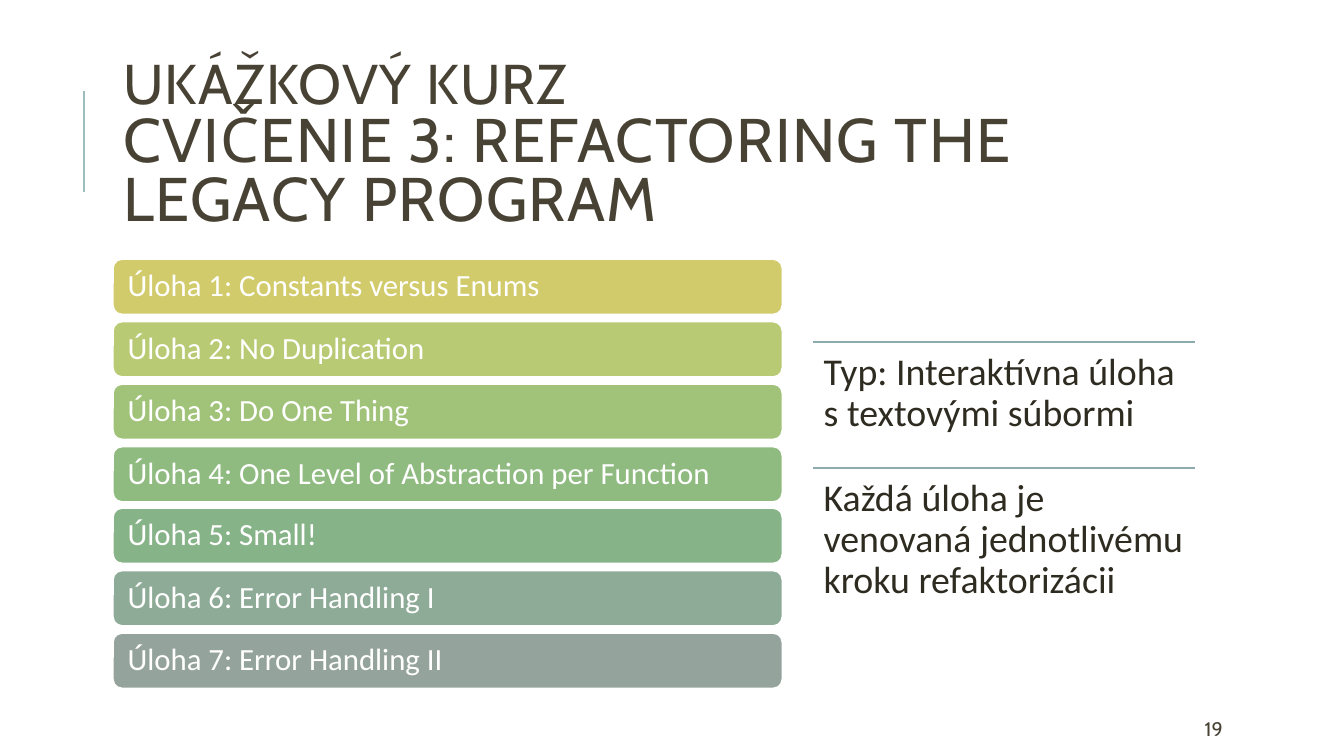
from pptx import Presentation
from pptx import util as u
from pptx.dml.color import RGBColor
from pptx.enum import shapes, text
from pptx.oxml import ns
from lxml import etree

PX = 9144
INK = "474233"
TASKS = [
    ("Úloha 1: Constants versus Enums", "D2CB6C"),
    ("Úloha 2: No Duplication", "B8CA73"),
    ("Úloha 3: Do One Thing", "A0C379"),
    ("Úloha 4: One Level of Abstraction per Function", "8FBB80"),
    ("Úloha 5: Small!", "87B388"),
    ("Úloha 6: Error Handling I", "8EAB97"),
    ("Úloha 7: Error Handling II", "95A39D"),
]
NOTES = [
    ("Typ: Interaktívna úloha s textovými súbormi", 339, 125),
    ("Každá úloha je venovaná jednotlivému kroku refaktorizácii", 464, 137),
]


def px(*lengths):
    return [u.Emu(n * PX) for n in lengths]


def color(value):
    return RGBColor.from_string(value)


def style_run(r, name, size, value):
    r.font.name = name
    r.font.size = u.Pt(size)
    r.font.color.rgb = color(value)


def set_text(sp, content, name, size, value, inset, anchor, spacing=None):
    tf = sp.text_frame
    tf.word_wrap = True
    tf.vertical_anchor = anchor
    tf.margin_left, tf.margin_top, tf.margin_right, tf.margin_bottom = px(*inset)
    tf.text = content
    p = tf.paragraphs[0]
    p.alignment = text.PP_ALIGN.LEFT
    p.line_spacing = spacing
    for r in p.runs:
        style_run(r, name, size, value)


def add_rule(s, x1, y1, x2, y2, value, width):
    line = s.shapes.add_connector(shapes.MSO_CONNECTOR.STRAIGHT, *px(x1, y1, x2, y2))
    line.line.color.rgb = color(value)
    line.line.width = u.Pt(width)
    etree.SubElement(line._element.spPr, ns.qn("a:effectLst"))


def add_title(s):
    sp = s.shapes.title
    sp.left, sp.top, sp.width, sp.height = px(112, 64, 1063, 164)
    set_text(sp, "UKÁŽKOVÝ KURZ\vCVIČENIE 3: REFACTORING THE LEGACY PROGRAM",
             "Cabin", 44, INK, (10, 5, 10, 5), text.MSO_ANCHOR.MIDDLE, 0.8)
    sp.text_frame.auto_size = text.MSO_AUTO_SIZE.NONE
    runs = sp.text_frame.paragraphs[0].runs
    runs[0].font.size = u.Pt(40)
    for r in runs:
        r.font._element.set("spc", "100")


def add_task(s, content, fill, top):
    sp = s.shapes.add_shape(shapes.MSO_SHAPE.ROUNDED_RECTANGLE, *px(112, top, 664, 55))
    sp.shadow.inherit = False
    sp.fill.solid()
    sp.fill.fore_color.rgb = color(fill)
    sp.line.color.rgb = color("FFFFFF")
    sp.line.width = u.Pt(1.25)
    set_text(sp, content, "Calibri", 22, "FFFFFF", (12, 9, 12, 9),
             text.MSO_ANCHOR.MIDDLE, 0.9)


def add_note(s, content, top, height):
    add_rule(s, 806, top, 1185, top, "8EACAC", 1.25)
    sp = s.shapes.add_textbox(*px(806, top, 379, height))
    set_text(sp, content, "Calibri", 27, "2E2B21", (11, 11, 11, 11),
             text.MSO_ANCHOR.TOP, 0.9)


def add_page_number(s, number):
    sp = s.shapes.add_textbox(*px(1185, 708, 106, 30))
    set_text(sp, number, "Cabin", 14, INK, (10, 5, 10, 5), text.MSO_ANCHOR.MIDDLE)


def main():
    prs = Presentation()
    prs.slide_width, prs.slide_height = px(1333, 750)
    s = prs.slides.add_slide(prs.slide_layouts[5])
    add_rule(s, 83, 190, 83, 90, "9CBEBD", 1.5)
    add_title(s)
    for i, (content, fill) in enumerate(TASKS):
        add_task(s, content, fill, 257 + round(i * 371 / 6))
    for note in NOTES:
        add_note(s, *note)
    add_page_number(s, "19")
    prs.save("out.pptx")


if __name__ == "__main__":
    main()
